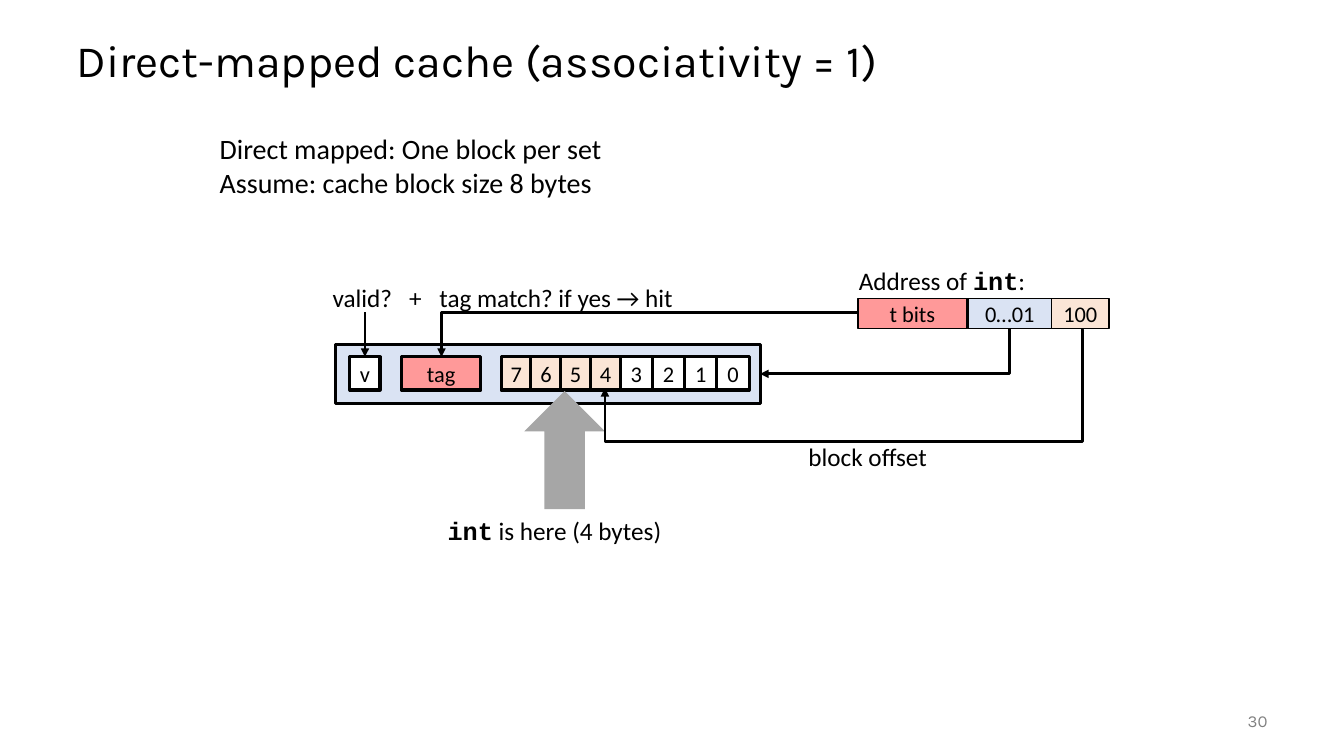
import lxml.etree
import pptx
import pptx.util
import pptx.dml.color
import pptx.enum.shapes
import pptx.enum.text
import pptx.oxml.ns
from dataclasses import dataclass
from typing import Optional

Inches = pptx.util.Inches
Pt = pptx.util.Pt
Align = pptx.enum.text.PP_ALIGN
Anchor = pptx.enum.text.MSO_ANCHOR
Kind = pptx.enum.shapes.MSO_SHAPE
Link = pptx.enum.shapes.MSO_CONNECTOR

BLACK, WHITE, GREY = "000000", "FFFFFF", "A6A6A6"
PINK, BLUE, PEACH = "FF9999", "DAE3F3", "FBE5D6"
ROW, TALL = 3.54, 0.33


@dataclass
class Cell:
    text: str
    left: float
    top: float
    width: float
    height: float
    fill: str
    line: float = 2.25


@dataclass
class Label:
    """Runs hold text and a flag for code type."""
    left: float
    top: float
    width: float
    height: float
    lines: list
    size: float = 18
    tab: Optional[float] = None


@dataclass
class Arrow:
    start: tuple
    end: tuple
    preset: str = "line"
    tip: str = "tailEnd"
    bends: tuple = ()


def color(code: str) -> pptx.dml.color.RGBColor:
    return pptx.dml.color.RGBColor.from_string(code)


def style(run, size: float, face: str = "Calibri", code: str = BLACK) -> None:
    run.font.size = Pt(size)
    run.font.name = face
    run.font.color.rgb = color(code)


def add(parent, tag: str, **attrs: str):
    return lxml.etree.SubElement(parent, pptx.oxml.ns.qn(tag), **attrs)


def draw_cell(slide, cell: Cell) -> None:
    shape = slide.shapes.add_shape(
        Kind.RECTANGLE, Inches(cell.left), Inches(cell.top),
        Inches(cell.width), Inches(cell.height))
    shape.shadow.inherit = False
    shape.fill.solid()
    shape.fill.fore_color.rgb = color(cell.fill)
    shape.line.color.rgb = color(BLACK)
    shape.line.width = Pt(cell.line)
    if cell.text:
        frame = shape.text_frame
        frame.word_wrap = False
        frame.vertical_anchor = Anchor.MIDDLE
        frame.text = cell.text
        frame.paragraphs[0].alignment = Align.CENTER
        style(frame.paragraphs[0].runs[0], 16)


def draw_label(slide, label: Label) -> None:
    box = slide.shapes.add_textbox(
        Inches(label.left), Inches(label.top),
        Inches(label.width), Inches(label.height))
    frame = box.text_frame
    frame.word_wrap = False
    frame.auto_size = pptx.enum.text.MSO_AUTO_SIZE.SHAPE_TO_FIT_TEXT
    for index, line in enumerate(label.lines):
        para = frame.add_paragraph() if index else frame.paragraphs[0]
        if label.tab:
            stops = add(para._p.get_or_add_pPr(), "a:tabLst")
            add(stops, "a:tab", pos=str(Inches(label.tab)), algn="l")
        for text, code in line:
            run = para.add_run()
            run.text = text
            style(run, label.size, "Courier New" if code else "Calibri")
            run.font.bold = code


def draw_arrow(slide, arrow: Arrow) -> None:
    points = [Inches(v) for v in arrow.start + arrow.end]
    line = slide.shapes.add_connector(Link.STRAIGHT, *points)
    line.line.color.rgb = color(BLACK)
    line.line.width = Pt(2)
    add(line.get_or_add_ln(), "a:" + arrow.tip, type="triangle")
    props = line._element.spPr
    add(props, "a:effectLst")
    shape = props.find(pptx.oxml.ns.qn("a:prstGeom"))
    shape.set("prst", arrow.preset)
    guides = shape.find(pptx.oxml.ns.qn("a:avLst"))
    for index, bend in enumerate(arrow.bends, 1):
        add(guides, "a:gd", name=f"adj{index}", fmla=f"val {bend}")


def draw_title(slide) -> None:
    title = slide.shapes.title
    title.left, title.top = Inches(0.66), Inches(0.25)
    title.width, title.height = Inches(12), Inches(0.75)
    frame = title.text_frame
    frame.text = "Direct-mapped cache (associativity = 1)"
    frame.vertical_anchor = Anchor.MIDDLE
    para = frame.paragraphs[0]
    para.alignment = Align.LEFT
    para.line_spacing = 0.9
    style(para.runs[0], 32, "Karla")


def draw_number(slide) -> None:
    box = slide.shapes.add_textbox(
        Inches(11.67), Inches(6.95), Inches(1), Inches(0.4))
    frame = box.text_frame
    frame.word_wrap = True
    frame.vertical_anchor = Anchor.MIDDLE
    frame.text = "30"
    frame.paragraphs[0].alignment = Align.RIGHT
    style(frame.paragraphs[0].runs[0], 12, "Karla", "808080")


def draw_pointer(slide) -> None:
    shape = slide.shapes.add_shape(
        Kind.UP_ARROW, Inches(5.2), Inches(3.88), Inches(0.8), Inches(1.17))
    shape.shadow.inherit = False
    shape.fill.solid()
    shape.fill.fore_color.rgb = color(GREY)
    shape.line.fill.background()


def byte_cells() -> list[Cell]:
    cells, left = [], 4.97
    for byte in range(7, -1, -1):
        width, step, fill = (
            (0.3, 0.295, PEACH) if byte >= 4 else (0.32, 0.32, WHITE))
        cells.append(Cell(str(byte), left, ROW, width, TALL, fill))
        left += step
    return cells


CELLS = [
    Cell("t bits", 8.51, 2.96, 1.08, 0.3, PINK, 1),
    Cell("0…01", 9.6, 2.96, 0.83, 0.3, BLUE, 1),
    Cell("100", 10.43, 2.96, 0.57, 0.3, PEACH, 1),
    Cell("", 3.33, 3.42, 4.21, 0.58, BLUE),
    Cell("v", 3.47, ROW, 0.3, TALL, WHITE),
    Cell("tag", 3.98, ROW, 0.79, TALL, PINK),
    *byte_cells(),
]
ARROWS = [
    Arrow((7.54, 3.71), (10.01, 3.25), "bentConnector2", "headEnd"),
    Arrow((8.51, 3.1), (4.38, 3.54), "bentConnector2"),
    Arrow((3.62, 3.1), (3.62, 3.54)),
    Arrow((10.72, 3.27), (6, 3.85), "bentConnector4", bends=(-300, 190700)),
]
LABELS = [
    Label(2.08, 1.26, 4.03, 0.77,
          [[("Direct mapped: One block per set", False)],
           [("Assume: cache block size 8 bytes", False)]], 20),
    Label(4.26, 2.75, 2.62, 0.4, [[("tag match? if yes → hit", False)]]),
    Label(3.2, 2.75, 1.12, 0.4, [[("valid?\t+", False)]], tab=0.76),
    Label(4.34, 5.06, 2.35, 0.4,
          [[("int", True), (" is here (4 bytes)", False)]]),
    Label(7.92, 4.33, 1.42, 0.4, [[("block offset", False)]]),
    Label(8.42, 2.58, 1.87, 0.4,
          [[("Address of ", False), ("int", True), (":", False)]]),
]


def main() -> None:
    deck = pptx.Presentation()
    deck.slide_width, deck.slide_height = Inches(13.33), Inches(7.5)
    slide = deck.slides.add_slide(deck.slide_layouts[5])
    draw_title(slide)
    for cell in CELLS:
        draw_cell(slide, cell)
    draw_pointer(slide)
    for arrow in ARROWS:
        draw_arrow(slide, arrow)
    for label in LABELS:
        draw_label(slide, label)
    draw_number(slide)
    deck.save("out.pptx")


if __name__ == "__main__":
    main()
